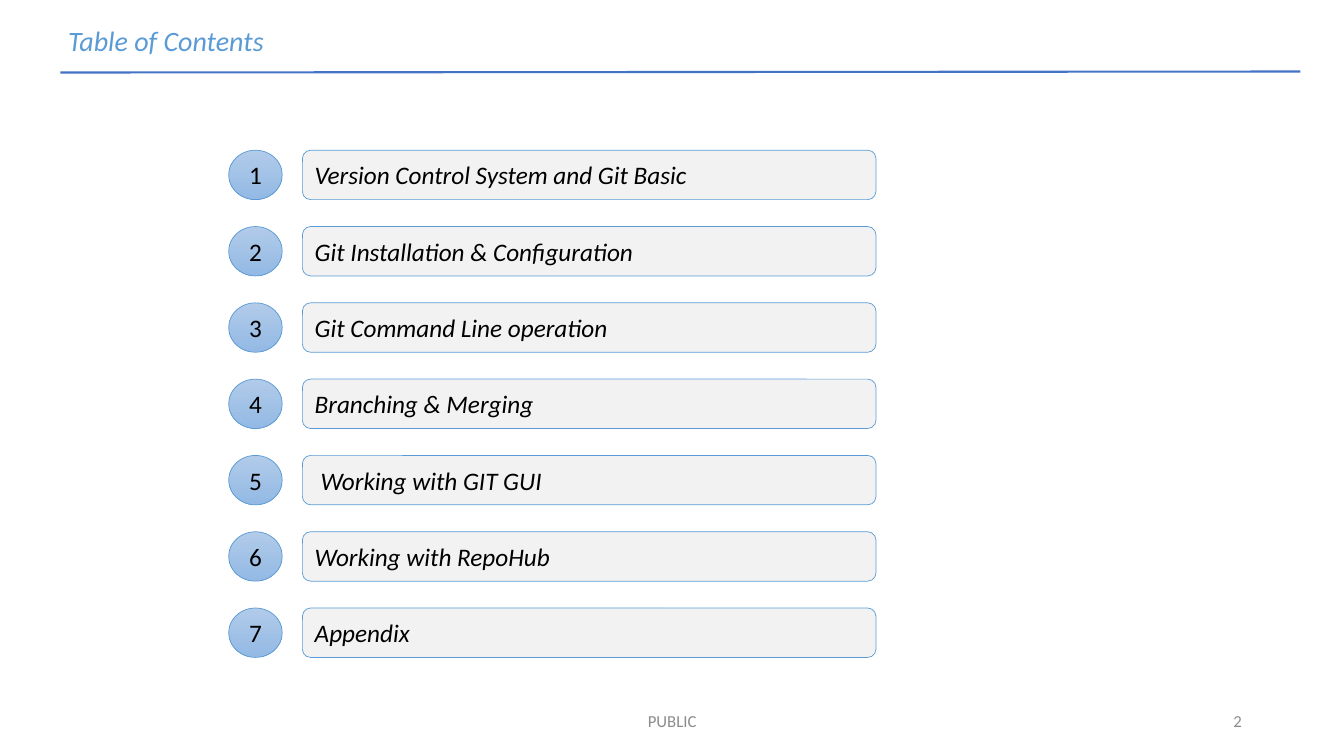
"""Build the table of contents slide with seven numbered topics."""
from lxml import etree
from pptx import Presentation
from pptx import util as u
from pptx.dml.color import RGBColor
from pptx.enum import shapes, text
from pptx.oxml.ns import qn

Pt = u.Pt
HUES = {
    "title": "5B9BD5", "rule": "4472C4", "bar": "F2F2F2", "edge": "5B9BD5",
    "ink": "000000", "foot": "8C8C8C", "light": "B1CBE9", "deep": "93B9E4",
}
TOPICS = [
    "Version Control System and Git Basic",
    "Git Installation & Configuration",
    "Git Command Line operation",
    "Branching & Merging",
    "Working with GIT GUI",
    "Working with RepoHub",
    "Appendix",
]
LEFT, MID, RIGHT = text.PP_ALIGN.LEFT, text.PP_ALIGN.CENTER, text.PP_ALIGN.RIGHT
TOP, STEP, HIGH = 107.3, 54.5, 35.3


def rgb(name):
    return RGBColor.from_string(HUES[name])


def write(shape, words, size, hue, align, slant=False, anchor=text.MSO_ANCHOR.MIDDLE):
    frame = shape.text_frame
    frame.word_wrap = True
    frame.vertical_anchor = anchor
    line = frame.paragraphs[0]
    line.text = words
    line.alignment = align
    line.font.name = "Calibri"
    line.font.size = Pt(size)
    line.font.italic = slant
    line.font.color.rgb = rgb(hue)
    return frame


deck = Presentation()
deck.slide_width, deck.slide_height = Pt(960), Pt(540)
slide = deck.slides.add_slide(deck.slide_layouts[6])
items = slide.shapes

title = items.add_textbox(Pt(32.4), Pt(13), Pt(910.8), Pt(31.7))
frame = write(title, "Table of Contents", 20, "title", LEFT, True, text.MSO_ANCHOR.TOP)
frame.margin_left = Pt(16.2)

rule = items.add_connector(shapes.MSO_CONNECTOR.STRAIGHT, Pt(43.2), Pt(51.8), Pt(928.8), Pt(51.1))
rule.line.color.rgb = rgb("rule")
rule.line.width = Pt(1.5)
etree.SubElement(rule.element.spPr, qn("a:effectLst"))

for row, topic in enumerate(TOPICS):
    top = Pt(TOP + row * STEP)
    bar = items.add_shape(shapes.MSO_SHAPE.ROUNDED_RECTANGLE, Pt(216), top, Pt(409.7), Pt(HIGH))
    bar.fill.solid()
    bar.fill.fore_color.rgb = rgb("bar")
    frame = write(bar, topic, 18, "ink", LEFT, True)
    if "GUI" in topic:
        frame.margin_left = Pt(11.3)

    disc = items.add_shape(shapes.MSO_SHAPE.OVAL, Pt(163.4), top, Pt(38.2), Pt(HIGH))
    disc.fill.gradient()
    disc.fill.gradient_angle = 270
    for stop, hue in zip(disc.fill.gradient_stops, ("light", "deep")):
        stop.color.rgb = rgb(hue)
    write(disc, str(row + 1), 18, "ink", MID)

    for shape in (bar, disc):
        shape.shadow.inherit = False
        shape.line.color.rgb = rgb("edge")
        shape.line.width = Pt(0.5)

for words, left, wide, align in (("PUBLIC", 318.2, 324, MID), ("2", 678.2, 216, RIGHT)):
    foot = items.add_textbox(Pt(left), Pt(500.4), Pt(wide), Pt(28.8))
    write(foot, words, 12, "foot", align)

deck.save("out.pptx")
